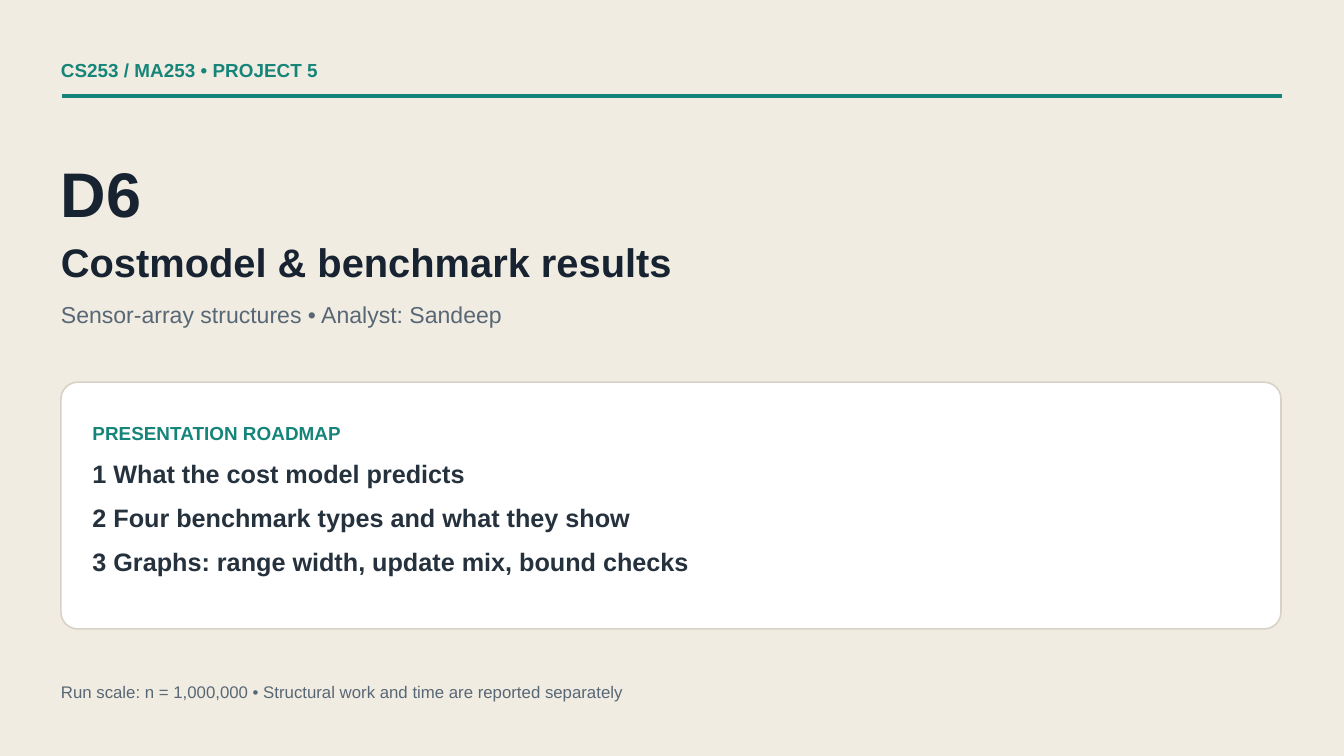
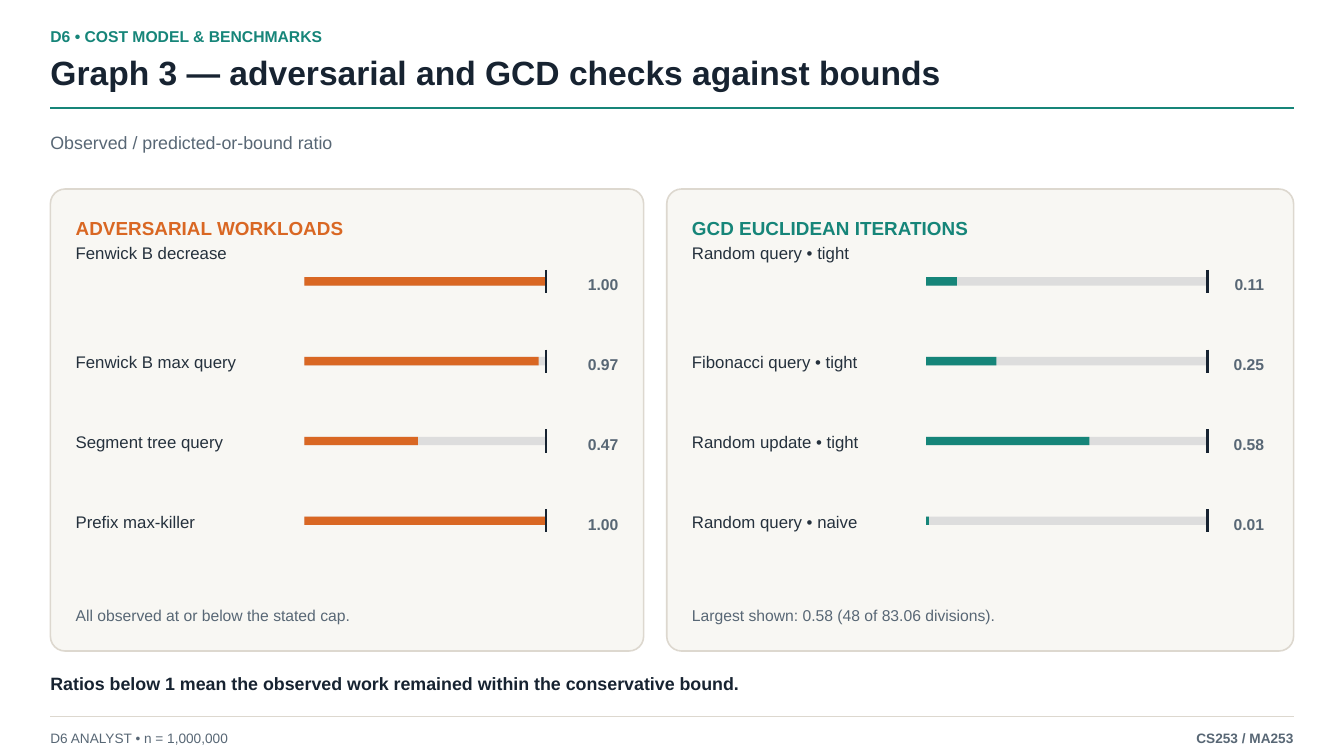
from dataclasses import dataclass
from typing import NamedTuple

from lxml import etree
from pptx import Presentation
from pptx.dml.color import RGBColor
from pptx.enum.shapes import MSO_CONNECTOR, MSO_SHAPE
from pptx.enum.text import MSO_ANCHOR, MSO_AUTO_SIZE, PP_ALIGN
from pptx.oxml.ns import qn
from pptx.util import Emu, Inches, Pt

RECTANGLE, ROUNDED = MSO_SHAPE.RECTANGLE, MSO_SHAPE.ROUNDED_RECTANGLE
STRAIGHT = MSO_CONNECTOR.STRAIGHT
LEFT, RIGHT = PP_ALIGN.LEFT, PP_ALIGN.RIGHT
TOP, NO_FIT = MSO_ANCHOR.TOP, MSO_AUTO_SIZE.NONE

# Every length, font size and line width counts cells of a 1280 by 720 grid.
SLIDE_WIDTH, SLIDE_HEIGHT = Inches(20), Inches(11.25)
CELL = SLIDE_WIDTH / 1280
TWO_CONTENT, TITLE_AND_CONTENT = 3, 1
FONT = "Arial"
COLORS = {
    "cream": "F1ECE2", "white": "FFFFFF", "panel": "F8F7F3",
    "cover border": "D8D1C5", "border": "DDD8CF", "track": "DDDDDD",
    "teal": "168579", "orange": "D96723",
    "ink": "172331", "body": "25313D", "muted": "586775",
}


class Area(NamedTuple):
    left: float
    top: float
    width: float
    height: float


class Line(NamedTuple):
    text: str
    size: float
    color: str
    bold: bool = False


class Ratio(NamedTuple):
    label: str
    value: float


@dataclass(frozen=True)
class Panel:
    heading: str
    color: str
    left: float
    width: float
    track_left: float
    track_width: float
    value_right: float
    ratios: tuple[Ratio, ...]
    note: str


PANELS = (
    Panel("ADVERSARIAL WORKLOADS", "orange", 48, 565, 290, 230, 589,
          (Ratio("Fenwick B decrease", 1.00), Ratio("Fenwick B max query", 0.97),
           Ratio("Segment tree query", 0.47), Ratio("Prefix max-killer", 1.00)),
          "All observed at or below the stated cap."),
    Panel("GCD EUCLIDEAN ITERATIONS", "teal", 635, 597, 882, 268, 1204,
          (Ratio("Random query • tight", 0.11), Ratio("Fibonacci query • tight", 0.25),
           Ratio("Random update • tight", 0.58), Ratio("Random query • naive", 0.01)),
          "Largest shown: 0.58 (48 of 83.06 divisions)."),
)
PANEL_TOP, PANEL_HEIGHT, PANEL_PAD = 180, 440, 24
FIRST_ROW, ROW_PITCH, BAR_HEIGHT, TICK_HEIGHT = 268, 76, 8, 22


def cells(count: float) -> Emu:
    return Emu(round(count * CELL))


def color(name: str) -> RGBColor:
    return RGBColor.from_string(COLORS[name])


def place(shape, area: Area) -> None:
    shape.left, shape.top, shape.width, shape.height = map(cells, area)


def write(box, lines: list[Line], leading: float = 1.4, align=LEFT) -> None:
    """Fill a text box or placeholder; leading is a multiple of the font size."""
    frame = box.text_frame
    frame.margin_left = frame.margin_top = frame.margin_right = frame.margin_bottom = 0
    frame.word_wrap = True
    frame.auto_size = NO_FIT
    frame.vertical_anchor = TOP
    for index, line in enumerate(lines):
        para = frame.add_paragraph() if index else frame.paragraphs[0]
        if box.is_placeholder:
            properties = para._p.get_or_add_pPr()
            properties.set("marL", "0")
            properties.set("indent", "0")
            etree.SubElement(properties, qn("a:buNone"))
        para.alignment = align
        para.space_before = para.space_after = Pt(0)
        para.line_spacing = cells(line.size * leading)
        span = para.add_run()
        span.text = line.text
        span.font.name = FONT
        span.font.size = cells(line.size)
        span.font.bold = line.bold
        span.font.color.rgb = color(line.color)


def add_text(page, area: Area, line: Line, align=LEFT) -> None:
    box = page.shapes.add_textbox(*map(cells, area))
    write(box, [line], align=align)


def fill_placeholder(page, index: int, area: Area, lines: list[Line],
                     leading: float = 1.4) -> None:
    """Place a placeholder in front of what is already drawn and fill it."""
    box = page.placeholders[index]
    place(box, area)
    write(box, lines, leading)
    page.shapes.element.append(box.element)


def add_bar(page, area: Area, fill: str) -> None:
    bar = page.shapes.add_shape(RECTANGLE, *map(cells, area))
    bar.shadow.inherit = False
    bar.fill.solid()
    bar.fill.fore_color.rgb = color(fill)
    bar.line.fill.background()


def add_card(page, area: Area, fill: str, border: str, radius: float) -> None:
    card = page.shapes.add_shape(ROUNDED, *map(cells, area))
    card.adjustments[0] = radius / min(area.width, area.height)
    card.shadow.inherit = False
    card.fill.solid()
    card.fill.fore_color.rgb = color(fill)
    card.line.color.rgb = color(border)
    card.line.width = cells(1.5)


def add_line(page, start: tuple[float, float], end: tuple[float, float],
             stroke: str, weight: float) -> None:
    line = page.shapes.add_connector(STRAIGHT, *map(cells, start + end))
    line.line.color.rgb = color(stroke)
    line.line.width = cells(weight)
    etree.SubElement(line.element.spPr, qn("a:effectLst"))


def add_rule(page, margin: float, y: float, stroke: str, weight: float) -> None:
    """Draw a horizontal line between equal side margins."""
    add_line(page, (margin, y), (1280 - margin, y), stroke, weight)


def add_page(deck, layout: int, background: str):
    page = deck.slides.add_slide(deck.slide_layouts[layout])
    page.background.fill.solid()
    page.background.fill.fore_color.rgb = color(background)
    return page


def add_ratio_row(page, panel: Panel, ratio: Ratio, y: float) -> None:
    """Draw the track, the filled share, the tick at 1 and the value."""
    for share, fill in ((1, "track"), (ratio.value, panel.color)):
        add_bar(page, Area(panel.track_left, y - BAR_HEIGHT / 2,
                           panel.track_width * share, BAR_HEIGHT), fill)
    tick_x = panel.track_left + panel.track_width
    add_line(page, (tick_x, y - TICK_HEIGHT / 2), (tick_x, y + TICK_HEIGHT / 2), "ink", 2)
    add_text(page, Area(panel.value_right - 40, y - 9, 40, 21),
             Line(f"{ratio.value:.2f}", 15, "muted", True), RIGHT)


def add_panel(page, panel: Panel, placeholder: int) -> None:
    add_card(page, Area(panel.left, PANEL_TOP, panel.width, PANEL_HEIGHT),
             "panel", "border", 14)
    text_left = panel.left + PANEL_PAD
    for row, ratio in enumerate(panel.ratios):
        y = FIRST_ROW + row * ROW_PITCH
        add_ratio_row(page, panel, ratio, y)
        if row:
            add_text(page, Area(text_left, y - 12, 190, 23), Line(ratio.label, 16, "body"))
    # The first label sits directly below the heading.
    fill_placeholder(page, placeholder, Area(text_left, 203, 300, 48), [
        Line(panel.heading, 18, panel.color, True),
        Line(panel.ratios[0].label, 16, "body"),
    ])
    add_text(page, Area(text_left, 574, 400, 21), Line(panel.note, 15, "muted"))


def build_cover(deck) -> None:
    page = add_page(deck, TITLE_AND_CONTENT, "cream")
    margin, width = 58, 1162
    add_text(page, Area(margin, 52.5, 400, 25),
             Line("CS253 / MA253 • PROJECT 5", 18, "teal", True))
    add_rule(page, margin + 1, 91.5, "teal", 3)
    fill_placeholder(page, 0, Area(margin, 135, 800, 137), [
        Line("D6", 60, "ink", True),
        Line("Costmodel & benchmark results", 38, "ink", True),
    ])
    add_text(page, Area(margin, 282, 600, 31),
             Line("Sensor-array structures • Analyst: Sandeep", 22, "muted"))
    add_card(page, Area(margin, 364, width, 235), "white", "cover border", 16)
    steps = ("1 What the cost model predicts",
             "2 Four benchmark types and what they show",
             "3 Graphs: range width, update mix, bound checks")
    fill_placeholder(page, 1, Area(margin + 30, 392, 800, 160),
                     [Line("PRESENTATION ROADMAP", 18, "teal", True),
                      *(Line(step, 24, "body", True) for step in steps)], 1.75)
    add_text(page, Area(margin, 646.5, 700, 23), Line(
        "Run scale: n = 1,000,000 • Structural work and time are reported separately",
        16, "muted"))


def build_bound_checks(deck) -> None:
    page = add_page(deck, TWO_CONTENT, "white")
    margin, width = 48, 1184
    fill_placeholder(page, 0, Area(margin, 23, width, 72), [
        Line("D6 • COST MODEL & BENCHMARKS", 15, "teal", True),
        Line("Graph 3 — adversarial and GCD checks against bounds", 32, "ink", True),
    ], 1.375)
    add_rule(page, margin, 103, "teal", 2)
    add_text(page, Area(margin, 122, 400, 24),
             Line("Observed / predicted-or-bound ratio", 17, "muted"))
    for placeholder, panel in enumerate(PANELS, start=1):
        add_panel(page, panel, placeholder)
    add_text(page, Area(margin, 637, width, 24), Line(
        "Ratios below 1 mean the observed work remained within the conservative bound.",
        17, "ink", True))
    add_rule(page, margin, 682, "border", 1)
    add_text(page, Area(margin, 692.5, 300, 18),
             Line("D6 ANALYST • n = 1,000,000", 13, "muted"))
    add_text(page, Area(margin + width - 200, 693, 200, 18),
             Line("CS253 / MA253", 13, "muted", True), RIGHT)


def main() -> None:
    deck = Presentation()
    deck.slide_width, deck.slide_height = SLIDE_WIDTH, SLIDE_HEIGHT
    build_cover(deck)
    build_bound_checks(deck)
    deck.save("out.pptx")


if __name__ == "__main__":
    main()
